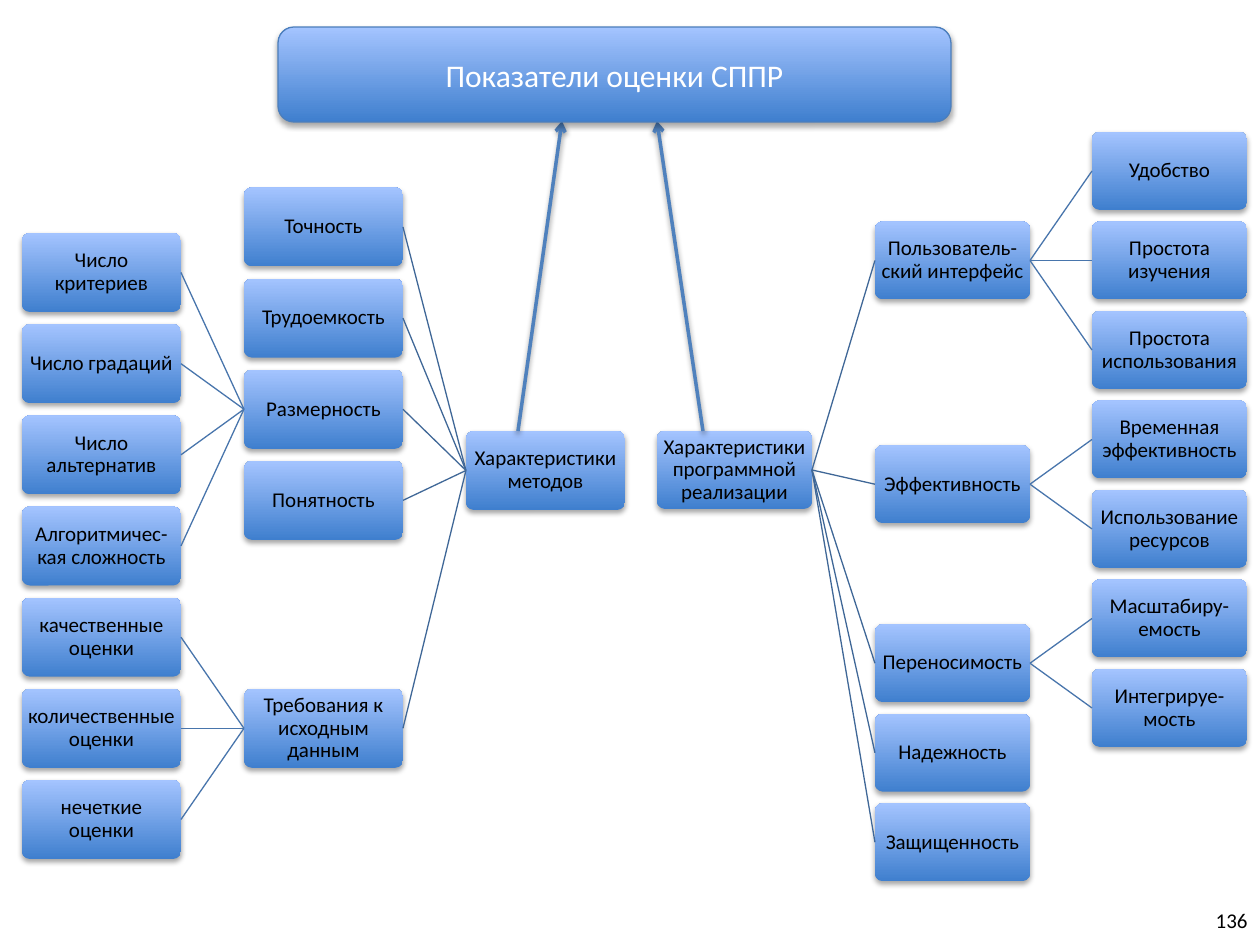
import pptx
import pptx.dml.color
import pptx.enum.dml
import pptx.enum.shapes
import pptx.enum.text
import pptx.oxml
import pptx.oxml.ns
import pptx.util
from dataclasses import dataclass

RGBColor = pptx.dml.color.RGBColor
Align = pptx.enum.text.PP_ALIGN

BLACK = RGBColor(0x00, 0x00, 0x00)
WHITE = RGBColor(0xFF, 0xFF, 0xFF)
BOX_BOTTOM = RGBColor(0x3F, 0x7F, 0xCE)
BOX_TOP = RGBColor(0xA4, 0xC4, 0xFF)
TITLE_BORDER = RGBColor(0x4B, 0x7E, 0xBC)
BRANCH_LINE = RGBColor(0x3F, 0x67, 0x97)
LEAF_LINE = RGBColor(0x48, 0x75, 0xAC)
ARROW_BLUE = RGBColor(0x4F, 0x81, 0xBD)

FONT = "Calibri"
EMU_PER_PX = 914400 / 126
LEFT_SIDE, RIGHT_SIDE = 1, 3
LEAF_GAPS = 6  # each tree has seven leaves


@dataclass
class Tree:
    """Columns run from the root outwards; rows are counted in leaf slots."""
    columns: tuple
    width: int
    height: int
    first_leaf_top: int
    last_leaf_top: int
    root_top: int
    parent_side: int
    child_side: int
    root: str
    branches: list  # (label, slot, leaves centred on that slot)

    def slot_top(self, slot):
        span = self.last_leaf_top - self.first_leaf_top
        return self.first_leaf_top + slot * span / LEAF_GAPS


METHODS = Tree(
    (466, 244, 22), 159, 79, 233, 780, 431, LEFT_SIDE, RIGHT_SIDE,
    "Характеристики методов",
    [
        ("Точность", -0.5, []),
        ("Трудоемкость", 0.5, []),
        ("Размерность", 1.5, ["Число критериев", "Число градаций",
                              "Число альтернатив", "Алгоритмичес-кая сложность"]),
        ("Понятность", 2.5, []),
        ("Требования к исходным данным", 5, ["качественные оценки",
                                             "количественные оценки",
                                             "нечеткие оценки"]),
    ])

SOFTWARE = Tree(
    (657, 875, 1092), 155, 78, 132, 669, 431, RIGHT_SIDE, LEFT_SIDE,
    "Характеристики программной реализации",
    [
        ("Пользователь-ский интерфейс", 1, ["Удобство", "Простота изучения",
                                            "Простота использования"]),
        ("Эффективность", 3.5, ["Временная эффективность", "Использование ресурсов"]),
        ("Переносимость", 5.5, ["Масштабиру-емость", "Интегрируе-мость"]),
        ("Надежность", 6.5, []),
        ("Защищенность", 7.5, []),
    ])


def px(length):
    return pptx.util.Emu(round(length * EMU_PER_PX))


def set_effects(shape, blur=0, distance=0, alpha=0):
    """Replace the theme shadow by a downward one, or by none if alpha is 0."""
    properties = shape._element.spPr
    for old in properties.findall(pptx.oxml.ns.qn("a:effectLst")):
        properties.remove(old)
    shadow = ""
    if alpha:
        shadow = (f'<a:outerShdw blurRad="{pptx.util.Pt(blur)}" '
                  f'dist="{pptx.util.Pt(distance)}" dir="5400000" rotWithShape="0">'
                  f'<a:srgbClr val="000000"><a:alpha val="{alpha * 1000}"/></a:srgbClr>'
                  '</a:outerShdw>')
    properties.append(pptx.oxml.parse_xml(
        f'<a:effectLst {pptx.oxml.ns.nsdecls("a")}>{shadow}</a:effectLst>'))


def write_text(shape, text, size, color, alignment, line_spacing=1.0):
    frame = shape.text_frame
    frame.word_wrap = True
    frame.vertical_anchor = pptx.enum.text.MSO_ANCHOR.MIDDLE
    paragraph = frame.paragraphs[0]
    paragraph.text = text
    paragraph.alignment = alignment
    paragraph.line_spacing = line_spacing
    paragraph.font.name = FONT
    paragraph.font.size = pptx.util.Pt(size)
    paragraph.font.color.rgb = color


def add_gradient_box(slide, left, top, width, height, border=None):
    shape = slide.shapes.add_shape(
        pptx.enum.shapes.MSO_SHAPE.ROUNDED_RECTANGLE,
        px(left), px(top), px(width), px(height))
    shape.fill.gradient()
    shape.fill.gradient_angle = 90
    for stop, color in zip(shape.fill.gradient_stops, (BOX_BOTTOM, BOX_TOP)):
        stop.color.rgb = color
    if border is None:
        shape.line.fill.background()
    else:
        shape.line.color.rgb = border
        shape.line.width = pptx.util.Pt(0.75)
    shape.shadow.inherit = False
    set_effects(shape, blur=3.1, distance=1.8, alpha=35)
    return shape


def add_node(slide, tree, level, top, label):
    shape = add_gradient_box(slide, tree.columns[level], top, tree.width, tree.height)
    shape.adjustments[0] = 0.1
    frame = shape.text_frame
    frame.margin_left = frame.margin_right = px(3)
    frame.margin_top = frame.margin_bottom = px(3)
    write_text(shape, label, 12, BLACK, Align.CENTER, line_spacing=0.9)
    return shape


def add_line(slide, start, end, color, width):
    connector = slide.shapes.add_connector(
        pptx.enum.shapes.MSO_CONNECTOR.STRAIGHT,
        px(start[0]), px(start[1]), px(end[0]), px(end[1]))
    connector.line.color.rgb = color
    connector.line.width = pptx.util.Pt(width)
    set_effects(connector)
    return connector


def add_link(slide, tree, parent, child, color):
    connector = add_line(slide, (0, 0), (0, 0), color, 0.75)
    connector.begin_connect(parent, tree.parent_side)
    connector.end_connect(child, tree.child_side)


def add_arrow(slide, start, end):
    connector = add_line(slide, start, end, ARROW_BLUE, 2)
    connector.line._get_or_add_ln().append(pptx.oxml.parse_xml(
        f'<a:tailEnd {pptx.oxml.ns.nsdecls("a")} type="arrow"/>'))
    set_effects(connector, blur=3.1, distance=1.6, alpha=38)


def add_tree(slide, tree):
    root = add_node(slide, tree, 0, tree.root_top, tree.root)
    for label, slot, leaves in tree.branches:
        branch = add_node(slide, tree, 1, tree.slot_top(slot), label)
        add_link(slide, tree, root, branch, BRANCH_LINE)
        first_slot = slot - (len(leaves) - 1) / 2
        for index, leaf_label in enumerate(leaves):
            leaf = add_node(slide, tree, 2, tree.slot_top(first_slot + index), leaf_label)
            add_link(slide, tree, branch, leaf, LEAF_LINE)


def main():
    presentation = pptx.Presentation()
    presentation.slide_width = px(1260)
    presentation.slide_height = px(945)
    slide = presentation.slides.add_slide(presentation.slide_layouts[6])

    # Two trees of indicators
    for tree in (METHODS, SOFTWARE):
        add_tree(slide, tree)

    # Arrows from the roots up to the title
    add_arrow(slide, (703, 431), (657, 121))
    add_arrow(slide, (518, 431), (562, 121))

    # Title
    title = add_gradient_box(slide, 278, 27, 673, 95, TITLE_BORDER)
    write_text(title, "Показатели оценки СППР", 18, WHITE, Align.CENTER)

    # Page number
    number = slide.shapes.add_textbox(px(966), px(895), px(294), px(50))
    write_text(number, "136", 12, BLACK, Align.RIGHT)

    presentation.save("out.pptx")


if __name__ == "__main__":
    main()
